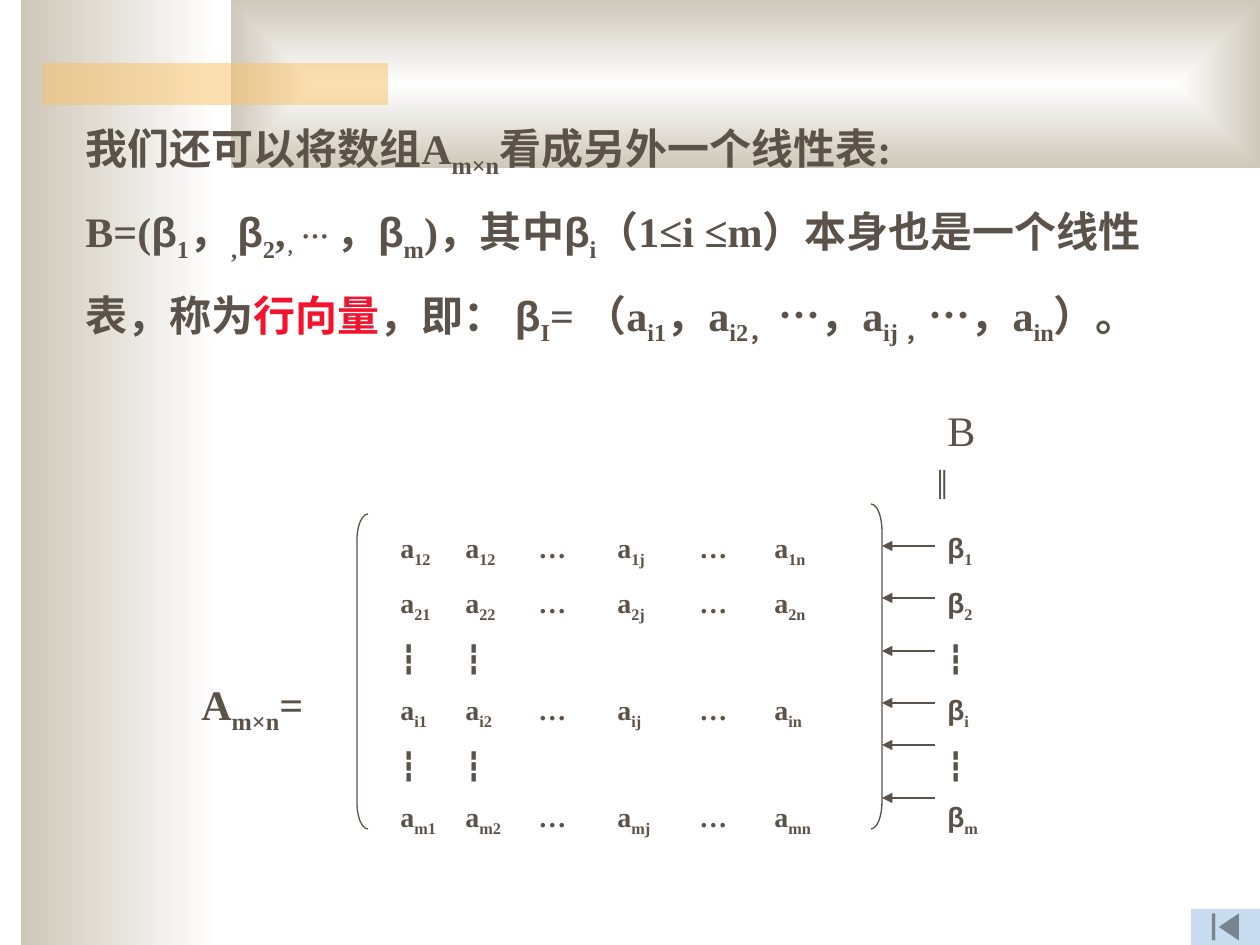
from dataclasses import dataclass
from typing import NamedTuple

from lxml.etree import SubElement
from pptx import Presentation
from pptx.dml.color import RGBColor as Rgb
from pptx.enum.shapes import MSO_CONNECTOR as Connector, MSO_SHAPE as Shape
from pptx.enum.text import MSO_AUTO_SIZE as AutoSize
from pptx.oxml.ns import qn
from pptx.util import Emu, Pt

EMU_PER_PX = 914400 / 126


@dataclass(frozen=True)
class Theme:
    ink: str = "5B5249"
    accent: str = "F3132E"
    white: str = "FFFFFF"
    sand: str = "CEC8BA"
    amber: str = "FAC164"
    button: str = "C9DDF1"
    serif: str = "Times New Roman"
    sans: str = "Arial"
    body: int = 24
    small: int = 16
    body_gap: int = 15
    small_gap: int = 10
    line: float = 0.75


THEME = Theme()


class Frame(NamedTuple):
    left: int
    top: int
    width: int
    height: int


class Span(NamedTuple):
    text: str
    sub: bool = False
    font: str = THEME.serif
    colour: str = THEME.ink
    size: int | None = None


Line = list[Span]


def px(length: int) -> Emu:
    return Emu(round(length * EMU_PER_PX))


def place(frame: Frame) -> list[Emu]:
    return [px(length) for length in frame]


def low(text: str, size: int | None = None) -> Span:
    return Span(text, sub=True, size=size)


def beta(index: str) -> Line:
    return [Span("β", font=THEME.sans), low(index)]


def entry(name: str) -> Line:
    return [Span(name)] if name in "…┇" else [Span("a"), low(name)]


def matrix_row(names: str) -> Line:
    first, *rest = names.split()
    line = entry(first)
    for name in rest:
        line += [Span("\t"), *entry(name)]
    return line


def add_shape(page, kind: Shape, frame: Frame, fill: str | None = None):
    shape = page.shapes.add_shape(kind, *place(frame))
    shape.shadow.inherit = False
    shape.line.fill.background()
    if fill:
        shape.fill.solid()
        shape.fill.fore_color.rgb = Rgb.from_string(fill)
    return shape


def add_gradient(page, frame: Frame, *, from_centre: bool = False) -> None:
    fill = add_shape(page, Shape.RECTANGLE, frame).fill
    fill.gradient()
    fill.gradient_angle = 180
    for stop, colour, position in zip(fill.gradient_stops, (THEME.white, THEME.sand), (0, 1)):
        stop.color.rgb = Rgb.from_string(colour)
        stop.position = position
    if from_centre:
        gradient = page.shapes[-1]._element.spPr.find(qn("a:gradFill"))
        gradient.remove(gradient.find(qn("a:lin")))
        route = SubElement(gradient, qn("a:path"), path="rect")
        SubElement(route, qn("a:fillToRect"), dict.fromkeys("ltrb", "50000"))


def add_bracket(page, kind: Shape, frame: Frame) -> None:
    bracket = add_shape(page, kind, frame)
    bracket.fill.background()
    bracket.line.color.rgb = Rgb.from_string(THEME.ink)
    bracket.line.width = Pt(THEME.line)
    bracket.adjustments[0] = frame.height / (12 * frame.width)


def add_arrow(page, start: int, end: int, y: int) -> None:
    arrow = page.shapes.add_connector(Connector.STRAIGHT, px(start), px(y), px(end), px(y))
    arrow.line.color.rgb = Rgb.from_string(THEME.ink)
    arrow.line.width = Pt(THEME.line)
    SubElement(arrow.line._get_or_add_ln(), qn("a:tailEnd"), type="triangle")
    SubElement(arrow._element.spPr, qn("a:effectLst"))


def add_text(page, frame: Frame, lines: list[Line], *, size: int = THEME.body,
             gap: int = THEME.body_gap, bold: bool = True, tabs: tuple[int, ...] = ()) -> None:
    box = page.shapes.add_textbox(*place(frame)).text_frame
    box.word_wrap = True
    box.auto_size = AutoSize.SHAPE_TO_FIT_TEXT
    for number, line in enumerate(lines):
        para = box.add_paragraph() if number else box.paragraphs[0]
        if number:
            para.space_before = Pt(gap)
        if tabs:
            stops = SubElement(para._p.get_or_add_pPr(), qn("a:tabLst"))
            for stop in tabs:
                SubElement(stops, qn("a:tab"), pos=str(px(stop)), algn="l")
        for span in line:
            run = para.add_run()
            run.text = span.text
            run.font.name = span.font
            run.font.size = Pt(span.size or size)
            run.font.bold = bold
            run.font.color.rgb = Rgb.from_string(span.colour)
            if span.sub:
                run._r.get_or_add_rPr().set("baseline", "-25000")


def add_backdrop(page) -> None:
    add_gradient(page, Frame(21, 0, 199, 945))
    add_gradient(page, Frame(231, 0, 1029, 168), from_centre=True)
    band = add_shape(page, Shape.RECTANGLE, Frame(42, 63, 346, 42), THEME.amber)
    tint = band._element.spPr.find(qn("a:solidFill"))[0]
    SubElement(tint, qn("a:alpha"), val="50000")
    add_shape(page, Shape.ACTION_BUTTON_BEGINNING, Frame(1191, 909, 69, 36), THEME.button)


def add_matrix(page) -> None:
    rows = ("12 12 … 1j … 1n", "21 22 … 2j … 2n", "┇ ┇",
            "i1 i2 … ij … in", "┇ ┇", "m1 m2 … mj … mn")
    vectors = [beta("1"), beta("2"), [Span("┇")], beta("i"), [Span("┇")], beta("m")]
    small = {"size": THEME.small, "gap": THEME.small_gap}
    add_bracket(page, Shape.LEFT_BRACKET, Frame(357, 514, 11, 315))
    add_text(page, Frame(189, 672, 158, 70), [[Span("A"), low("m×n"), Span("=")]])
    add_text(page, Frame(388, 524, 483, 320), [matrix_row(row) for row in rows],
             tabs=(65, 138, 217, 299, 374), **small)
    add_bracket(page, Shape.RIGHT_BRACKET, Frame(871, 504, 11, 325))
    add_text(page, Frame(935, 398, 73, 63), [[Span("B")]], bold=False)
    add_text(page, Frame(924, 451, 63, 63), [[Span("‖")]], bold=False)
    add_text(page, Frame(935, 524, 73, 377), vectors, **small)
    for y in (546, 598, 651, 703, 745, 798):
        add_arrow(page, 935, 882, y)


def add_explanation(page) -> None:
    small = THEME.small
    add_text(page, Frame(73, 116, 1144, 287), [
        [Span("我们还可以将数组A"), low("m×n"), Span("看成另外一个线性表:")],
        [Span("B=("), *beta("1"), Span("，"), low(","), *beta("2"), Span(","),
         low("，", small), Span("… ", size=small), Span("，"), *beta("m"), Span(")，其中"),
         *beta("i"), Span("（1≤i ≤m）本身也是一个线性")],
        [Span("表，称为"), Span("行向量", colour=THEME.accent), Span("，即： "), *beta("I"),
         Span("= （a"), low("i1"), Span("，a"), low("i2， "), Span("…，a"), low("ij ，"),
         Span("…，a"), low("in"), Span("）。")],
    ])


def main() -> None:
    deck = Presentation()
    deck.slide_width, deck.slide_height = px(1260), px(945)
    page = deck.slides.add_slide(deck.slide_layouts[6])
    add_backdrop(page)
    add_matrix(page)
    add_explanation(page)
    deck.save("out.pptx")


if __name__ == "__main__":
    main()
